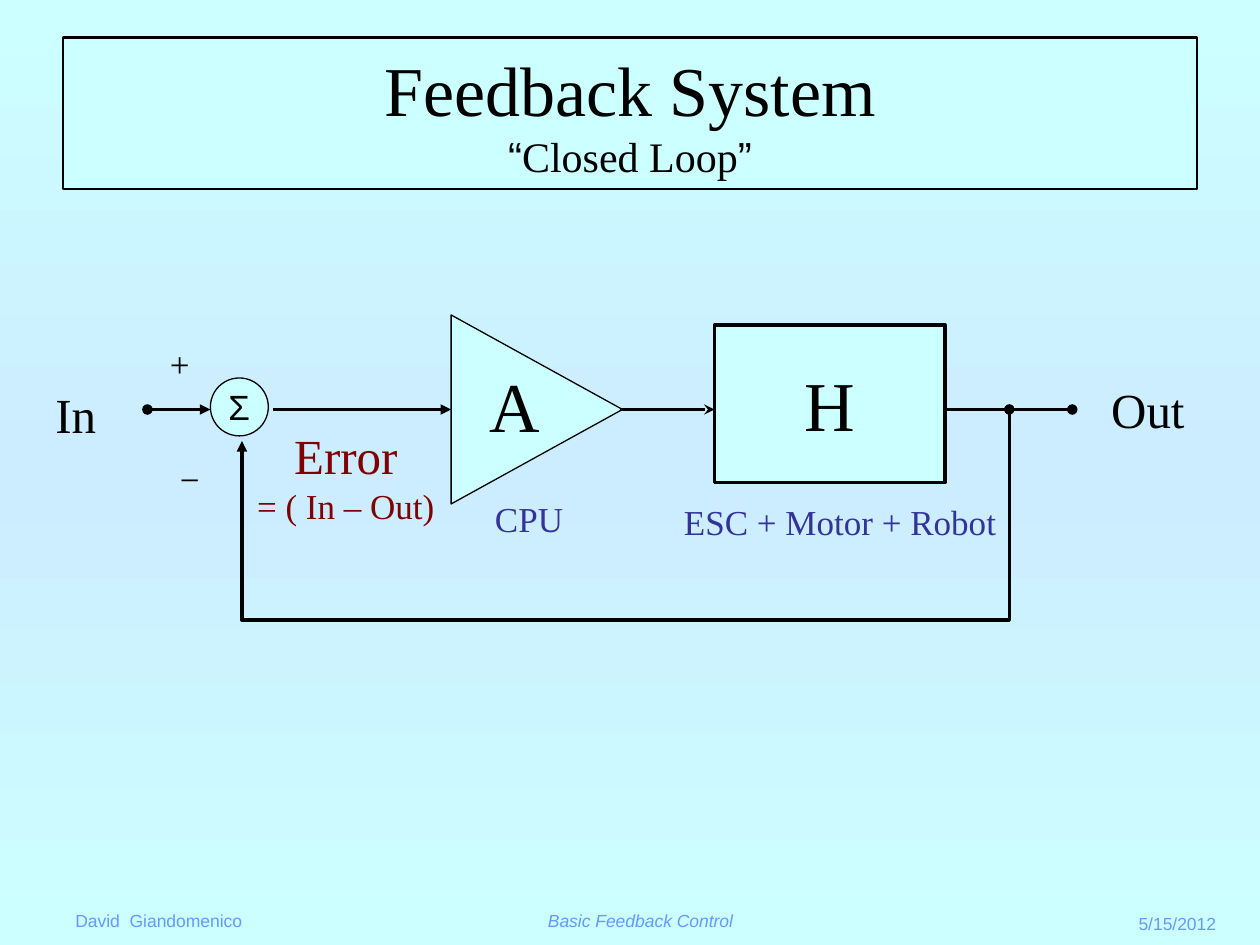
"""Build the closed-loop feedback system slide."""
import copy

import pptx
import pptx.dml.color
import pptx.enum.dml
import pptx.enum.shapes
import pptx.enum.text
import pptx.oxml
import pptx.oxml.ns
import pptx.util

Inches = pptx.util.Inches
MSO_SHAPE = pptx.enum.shapes.MSO_SHAPE
LEFT, CENTER, RIGHT = (pptx.enum.text.PP_ALIGN.LEFT, pptx.enum.text.PP_ALIGN.CENTER,
                       pptx.enum.text.PP_ALIGN.RIGHT)
BLACK, PALE, RED, BLUE, FOOTER = "000000", "CCFFFF", "800000", "333399", "6699FF"
SERIF, SANS = "Times New Roman", "Arial"
SIGNAL_Y = 3.25


def color(value):
    """Return the colour of a hex string."""
    return pptx.dml.color.RGBColor.from_string(value)


def add_run(paragraph, text, size, name=SERIF, value=BLACK, italic=False):
    """Add a formatted run to a paragraph."""
    run = paragraph.add_run()
    run.text = text
    formats = {"size": pptx.util.Pt(size), "name": name, "italic": italic}
    for attribute, setting in formats.items():
        setattr(run.font, attribute, setting)
    run.font.color.rgb = color(value)


presentation = pptx.Presentation()
presentation.slide_width, presentation.slide_height = Inches(10), Inches(7.5)
slide = presentation.slides.add_slide(presentation.slide_layouts[5])

background = slide.background.fill
background.gradient()
background.gradient_angle = 270
first_stop = slide.element.find(".//" + pptx.oxml.ns.qn("a:gs"))
first_stop.addnext(copy.deepcopy(first_stop))
for stop, (position, value) in zip(background.gradient_stops,
                                   [(0, PALE), (0.5, "CCECFF"), (1, PALE)]):
    stop.position = position
    stop.color.rgb = color(value)

title = slide.shapes.title
frame_formats = {"left": 0.5, "top": 0.3, "width": 9, "height": 1.2}
for attribute, length in frame_formats.items():
    setattr(title, attribute, Inches(length))
title.text_frame.auto_size = pptx.enum.text.MSO_AUTO_SIZE.NONE
title.text_frame.vertical_anchor = pptx.enum.text.MSO_ANCHOR.MIDDLE
heading = title.text_frame.paragraphs[0]
heading.alignment = CENTER
add_run(heading, "Feedback System", 40)
heading.add_line_break()
for text, name in [("“", SANS), ("Closed Loop", SERIF), ("”", SANS)]:
    add_run(heading, text, 24, name)

blocks = [
    (MSO_SHAPE.ISOSCELES_TRIANGLE, 3.51, 2.57, 1.5, 1.36, 90, 0.75, "", 20, SERIF),
    (MSO_SHAPE.OVAL, 1.67, 3, 0.46, 0.46, 0, 0.75, "Σ", 20, SANS),
    (MSO_SHAPE.FLOWCHART_PROCESS, 5.67, 2.58, 1.83, 1.25, 0, 2, "H", 40, SERIF),
]
outlined = [(title, 1.5)]
for kind, left, top, width, height, rotation, weight, text, size, name in blocks:
    shape = slide.shapes.add_shape(kind, *map(Inches, (left, top, width, height)))
    shape.shadow.inherit = False
    shape.rotation = rotation
    outlined.append((shape, weight))
    if text:
        shape.text_frame.word_wrap = False
        shape.text_frame.vertical_anchor = pptx.enum.text.MSO_ANCHOR.MIDDLE
        paragraph = shape.text_frame.paragraphs[0]
        paragraph.alignment = CENTER
        add_run(paragraph, text, size, name)
for shape, weight in outlined:
    shape.fill.solid()
    shape.fill.fore_color.rgb = color(PALE)
    shape.line.color.rgb = color(BLACK)
    shape.line.width = pptx.util.Pt(weight)

labels = [
    (0.34, 3, 0.52, 0.57, False, CENTER, [("In", 28, SERIF, BLACK)]),
    (8.72, 2.96, 0.78, 0.57, False, CENTER, [("Out", 28, SERIF, BLACK)]),
    (1.25, 2.67, 0.35, 0.44, False, CENTER, [("+", 20, SERIF, BLACK)]),
    (1.33, 3.58, 0.35, 0.44, False, CENTER, [("−", 20, SERIF, BLACK)]),
    (3.17, 2.83, 1.83, 0.77, True, CENTER, [("A", 40, SERIF, BLACK)]),
    (1.83, 3.33, 1.83, 0.9, True, CENTER,
     [("Error", 28, SERIF, RED), ("= ( In – Out)", 20, SERIF, RED)]),
    (3.83, 3.9, 0.92, 0.44, True, LEFT, [("CPU", 20, SERIF, BLUE)]),
    (5.33, 3.92, 2.92, 0.44, True, LEFT, [("ESC + Motor + Robot", 20, SERIF, BLUE)]),
    (0.5, 7.17, 1.67, 0.27, True, LEFT, [("David  Giandomenico", 10, SANS, FOOTER)]),
    (4.25, 7.17, 1.92, 0.27, True, LEFT,
     [("Basic Feedback Control", 10, SANS, FOOTER, True)]),
    (7.58, 7.2, 2.17, 0.27, True, RIGHT, [("5/15/2012", 10, SANS, FOOTER)]),
]
for left, top, width, height, wrap, alignment, rows in labels:
    text_frame = slide.shapes.add_textbox(
        *map(Inches, (left, top, width, height))).text_frame
    text_frame.word_wrap = wrap
    for index, row in enumerate(rows):
        paragraph = text_frame.add_paragraph() if index else text_frame.paragraphs[0]
        paragraph.alignment = alignment
        add_run(paragraph, *row)

wires = []
signals = [
    (1.17, 1.67, {"head": "oval", "tail": "triangle"}),
    (2.17, 3.58, {"tail": "triangle"}),
    (4.92, 5.67, {"tail": "stealth"}),
    (7.5, 8.51, {"tail": "oval"}),
]
for start, end, ends in signals:
    connector = slide.shapes.add_connector(
        pptx.enum.shapes.MSO_CONNECTOR.STRAIGHT,
        *map(Inches, (start, SIGNAL_Y, end, SIGNAL_Y)))
    connector.element.spPr.append(pptx.oxml.parse_xml(
        f"<a:effectLst {pptx.oxml.ns.nsdecls('a')}/>"))
    wires.append((connector, ends))

feedback = [
    ([(8.01, SIGNAL_Y), (8.01, 4.92), (1.92, 4.92)], {"head": "oval"}),
    ([(5.08, 4.92), (1.92, 4.92), (1.92, 3.5)], {"tail": "triangle"}),
]
for points, ends in feedback:
    start, *others = [(Inches(x), Inches(y)) for x, y in points]
    builder = slide.shapes.build_freeform(*start)
    builder.add_line_segments(others, close=False)
    shape = builder.convert_to_shape()
    shape.shadow.inherit = False
    shape.fill.background()
    wires.append((shape, ends))

for shape, ends in wires:
    shape.line.color.rgb = color(BLACK)
    shape.line.width = pptx.util.Pt(2)
    outline = shape.element.spPr.find(pptx.oxml.ns.qn("a:ln"))
    for side, kind in ends.items():
        outline.append(pptx.oxml.parse_xml(
            f'<a:{side}End {pptx.oxml.ns.nsdecls("a")} type="{kind}"/>'))

presentation.save("out.pptx")
